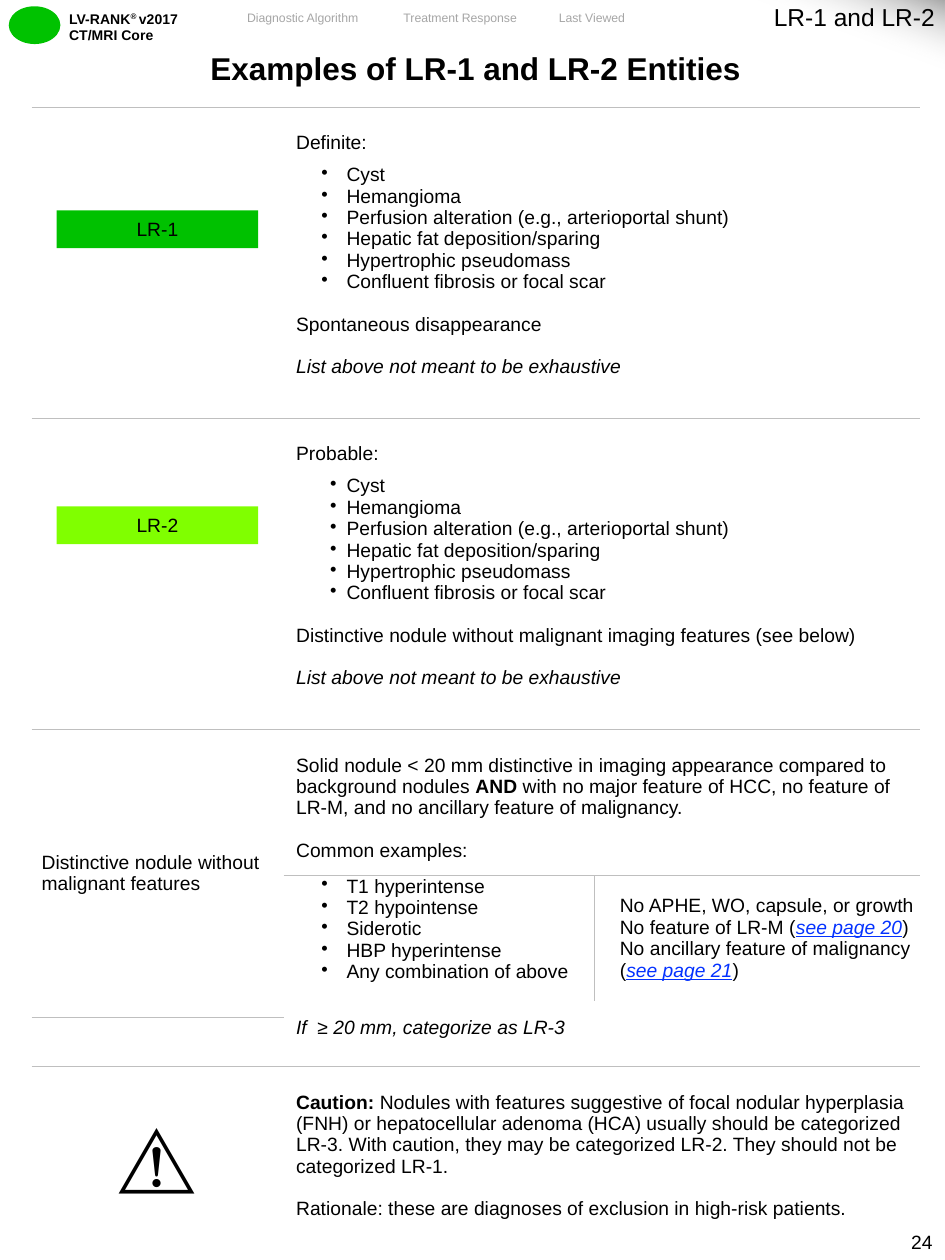
from dataclasses import dataclass
from itertools import product
from typing import Optional

from lxml.etree import SubElement
from pptx import Presentation
from pptx.dml.color import RGBColor
from pptx.enum.shapes import MSO_SHAPE
from pptx.enum.text import MSO_ANCHOR, PP_ALIGN
from pptx.oxml.ns import qn
from pptx.util import Pt

FONT = "Arial"
BLACK, WHITE, GRAY, RULE, LINK = "000000", "FFFFFF", "A6A6A6", "BFBFBF", "0432FF"
CENTER, RIGHT = PP_ALIGN.CENTER, PP_ALIGN.RIGHT
TOP, MIDDLE = MSO_ANCHOR.TOP, MSO_ANCHOR.MIDDLE
NO_STYLE = "{2D5ABB26-0587-4C30-8999-92F81FD0307C}"


@dataclass
class Span:
    text: str
    bold: Optional[bool] = None
    italic: Optional[bool] = None
    underline: Optional[bool] = None
    color: Optional[str] = None
    superscript: bool = False


@dataclass
class Line:
    spans: list
    size: float = 11
    color: str = BLACK
    bold: bool = False
    italic: bool = False
    align: PP_ALIGN = PP_ALIGN.LEFT
    before: float = 0
    after: float = 0
    margin: float = 0
    indent: float = 0
    bullet: bool = False


@dataclass
class CellText:
    row: int
    column: int
    lines: list
    insets: tuple  # left, top, right, bottom
    anchor: MSO_ANCHOR = TOP


@dataclass
class Label:
    box: tuple  # left, top, width, height
    lines: list
    anchor: MSO_ANCHOR = TOP
    wrap: bool = True


def rgb(color: str) -> RGBColor:
    return RGBColor.from_string(color)


def plain(text: str, **style) -> Line:
    return Line([Span(text)], **style)


def bullets(items: list, hanging: float, after: float = 0) -> list:
    lines = [plain(item, margin=28.8, indent=-hanging, bullet=True) for item in items]
    lines[-1].after = after
    return lines


def write_lines(text_frame, lines: list) -> None:
    for index, line in enumerate(lines):
        paragraph = text_frame.add_paragraph() if index else text_frame.paragraphs[0]
        paragraph.alignment = line.align
        paragraph.space_before, paragraph.space_after = Pt(line.before), Pt(line.after)
        font = paragraph.font
        font.name, font.size = FONT, Pt(line.size)
        font.bold, font.italic = line.bold, line.italic
        font.color.rgb = rgb(line.color)
        properties = paragraph._p.get_or_add_pPr()
        properties.set("marL", str(Pt(line.margin)))
        properties.set("indent", str(Pt(line.indent)))
        if line.bullet:
            bullet = SubElement(properties, qn("a:buChar"), char="•")
            properties.find(qn("a:defRPr")).addprevious(bullet)
        for span in line.spans:
            run = paragraph.add_run()
            run.text = span.text
            run.font.bold, run.font.italic = span.bold, span.italic
            run.font.underline = span.underline
            if span.color:
                run.font.color.rgb = rgb(span.color)
            if span.superscript:
                run._r.get_or_add_rPr().set("baseline", "30000")


def add_label(slide, label: Label) -> None:
    text_frame = slide.shapes.add_textbox(*map(Pt, label.box)).text_frame
    text_frame.word_wrap = label.wrap
    text_frame.vertical_anchor = label.anchor
    write_lines(text_frame, label.lines)


def add_block(slide, kind: MSO_SHAPE, box: tuple, color: str, text: str = ""):
    shape = slide.shapes.add_shape(kind, *map(Pt, box))
    shape.shadow.inherit = False
    shape.fill.solid()
    shape.fill.fore_color.rgb = rgb(color)
    shape.line.fill.background()
    if text:
        frame = shape.text_frame
        frame.margin_left = frame.margin_top = frame.margin_right = frame.margin_bottom = 0
        frame.vertical_anchor = MIDDLE
        write_lines(frame, [plain(text, align=CENTER)])
    return shape


def add_corner_shade(slide) -> None:
    shape = add_block(slide, MSO_SHAPE.RIGHT_TRIANGLE, (431.3, 0, 108.7, 39.6), WHITE)
    shape.rotation = 180
    shape.fill.gradient()
    shape.fill.gradient_angle = 70
    for stop, color, position in zip(shape.fill.gradient_stops, (GRAY, WHITE), (0, 0.5)):
        stop.color.rgb, stop.position = rgb(color), position
    end_color = list(shape._element.spPr.iter(qn("a:srgbClr")))[-1]
    SubElement(end_color, qn("a:alpha"), val="0")


def set_borders(cell, sides: str) -> None:
    properties = cell._tc.get_or_add_tcPr()
    for position, side in enumerate(side for side in "LRTB" if side in sides):
        border = SubElement(properties, qn(f"a:ln{side}"), w=str(Pt(0.5)))
        fill = SubElement(border, qn("a:solidFill"))
        SubElement(fill, qn("a:srgbClr"), val=RULE)
        properties.insert(position, border)


def add_entity_table(slide, cell_texts: list) -> None:
    widths = (144, 177.8, 185.8)
    heights = (32.4, 177.8, 177.8, 83.4, 71.6, 9.4, 28.1, 106.5)
    frame = slide.shapes.add_table(len(heights), len(widths), Pt(18), Pt(28.8),
                                   Pt(sum(widths)), Pt(sum(heights)))
    table = frame.table
    table.first_row = table.horz_banding = False
    table._tbl.tblPr.find(qn("a:tableStyleId")).text = NO_STYLE
    for column, width in zip(table.columns, widths):
        column.width = Pt(width)
    for row, height in zip(table.rows, heights):
        row.height = Pt(height)

    # Merged areas: title, the right-hand pair of columns, the nodule heading
    table.cell(0, 0).merge(table.cell(0, 2))
    table.cell(3, 0).merge(table.cell(5, 0))
    for row in (1, 2, 3, 5, 6, 7):
        table.cell(row, 1).merge(table.cell(row, 2))

    contents = {(item.row, item.column): item for item in cell_texts}
    row_borders = {0: "B", 1: "TB", 2: "TB", 3: "T", 6: "B", 7: "T"}
    for row, column in product(range(len(heights)), range(len(widths))):
        cell = table.cell(row, column)
        item = contents.get((row, column), CellText(row, column, [], (0, 0, 0, 0)))
        cell.margin_left, cell.margin_top, cell.margin_right, cell.margin_bottom = map(Pt, item.insets)
        cell.vertical_anchor = item.anchor
        cell.fill.solid()
        cell.fill.fore_color.rgb = rgb(WHITE)
        inner = {(4, 1): "R", (4, 2): "L"}.get((row, column), "")
        set_borders(cell, row_borders.get(row, "") + inner)
        if item.lines:
            write_lines(cell.text_frame, item.lines)
        else:
            SubElement(cell.text_frame.paragraphs[0]._p, qn("a:endParaRPr"), sz="100")


def page_link(text: str) -> Span:
    return Span(text, italic=True, underline=True, color=LINK)


# Wording of the table
entities = ["Cyst", "Hemangioma", "Perfusion alteration (e.g., arterioportal shunt)",
            "Hepatic fat deposition/sparing", "Hypertrophic pseudomass",
            "Confluent fibrosis or focal scar"]
nodule_signs = ["T1 hyperintense", "T2 hypointense", "Siderotic", "HBP hyperintense",
                "Any combination of above"]


def entity_lines(heading: str, hanging: float, other: str) -> list:
    return [plain(heading, after=6), *bullets(entities, hanging, after=12),
            plain(other, after=12), plain("List above not meant to be exhaustive", italic=True)]


BODY = (7.2, 14.4, 2.9, 14.4)
cell_texts = [
    CellText(0, 0, [plain("Examples of LR-1 and LR-2 Entities", size=18, bold=True, align=CENTER)],
             (7.2, 0, 7.2, 10.8), MIDDLE),
    CellText(1, 1, entity_lines("Definite:", 14.4, "Spontaneous disappearance"), BODY),
    CellText(2, 1, entity_lines("Probable:", 9.4, "Distinctive nodule without malignant imaging "
                                "features (see below)"), BODY),
    CellText(3, 0, [plain("Distinctive nodule without malignant features", before=1, after=1)],
             (5.8, 7.2, 2.9, 7.2), MIDDLE),
    CellText(3, 1, [
        Line([Span("Solid nodule < 20 mm distinctive in imaging appearance compared to background nodules "),
              Span("AND ", bold=True),
              Span("with no major feature of HCC, no feature of LR-M, and no ancillary feature of "
                   "malignancy.")], after=12),
        plain("Common examples:", after=6)], (7.2, 14.4, 2.9, 4.3)),
    CellText(4, 1, bullets(nodule_signs, 14.4), (7.2, 0, 2.9, 0)),
    CellText(4, 2, [
        plain("No APHE, WO, capsule, or growth", margin=14.4),
        Line([Span("No feature of LR-M ("), page_link("see page 20"), Span(")")], margin=14.4),
        Line([Span("No ancillary feature of malignancy ("), page_link("see page 21"), Span(")")],
             margin=14.4)], (0, 0, 2.9, 0), MIDDLE),
    CellText(6, 1, [plain("If  ≥ 20 mm, categorize as LR-3", italic=True, margin=14.4, indent=-14.4)],
             (7.2, 0, 2.9, 0)),
    CellText(7, 0, [plain("⚠️", size=44, align=CENTER, before=1, after=1)], (0, 14.4, 0, 14.4), MIDDLE),
    CellText(7, 1, [
        Line([Span("Caution: ", bold=True),
              Span("Nodules with features suggestive of focal nodular hyperplasia (FNH) or "
                   "hepatocellular adenoma (HCA) usually should be categorized LR-3. With caution, "
                   "they may be categorized LR-2. They should not be categorized LR-1.")], after=12),
        plain("Rationale: these are diagnoses of exclusion in high-risk patients.")], BODY),
]

# Header: document name and navigation
document_name = Label((32.4, 2.2, 92.9, 24.5), [
    Line([Span("LV-RANK"), Span("® ", superscript=True), Span("v2017")], size=8, bold=True),
    plain("CT/MRI Core", size=8, bold=True)])
navigation = [
    Label((left, 2.2, width, 15.8), [plain(text, size=7, color=GRAY, align=CENTER)], MIDDLE, False)
    for text, left, width in (("Diagnostic Algorithm ", 132.5, 82.8),
                              ("Treatment Response ", 222.5, 82.8),
                              ("Last Viewed ", 311.8, 54.7))]
page_number = Label((504.7, 699.1, 35.3, 20.9), [plain("24", align=RIGHT)], MIDDLE, False)
section_name = Label((390.2, -2.2, 151.2, 24.5), [plain("LR-1 and LR-2", size=14, align=RIGHT)])


def main() -> None:
    presentation = Presentation()
    presentation.slide_width, presentation.slide_height = Pt(540), Pt(720)
    slide = presentation.slides.add_slide(presentation.slide_layouts[6])
    add_block(slide, MSO_SHAPE.OVAL, (5, 3.6, 29.5, 21.6), "00C200")
    for label in (document_name, *navigation):
        add_label(slide, label)
    add_entity_table(slide, cell_texts)
    add_label(slide, page_number)
    add_corner_shade(slide)
    add_label(slide, section_name)
    # Category blocks
    for text, top, color in (("LR-1", 120.2, "00C100"), ("LR-2", 289.4, "80FF00")):
        add_block(slide, MSO_SHAPE.RECTANGLE, (32.4, top, 115.2, 21.6), color, text)
    presentation.save("out.pptx")


if __name__ == "__main__":
    main()
